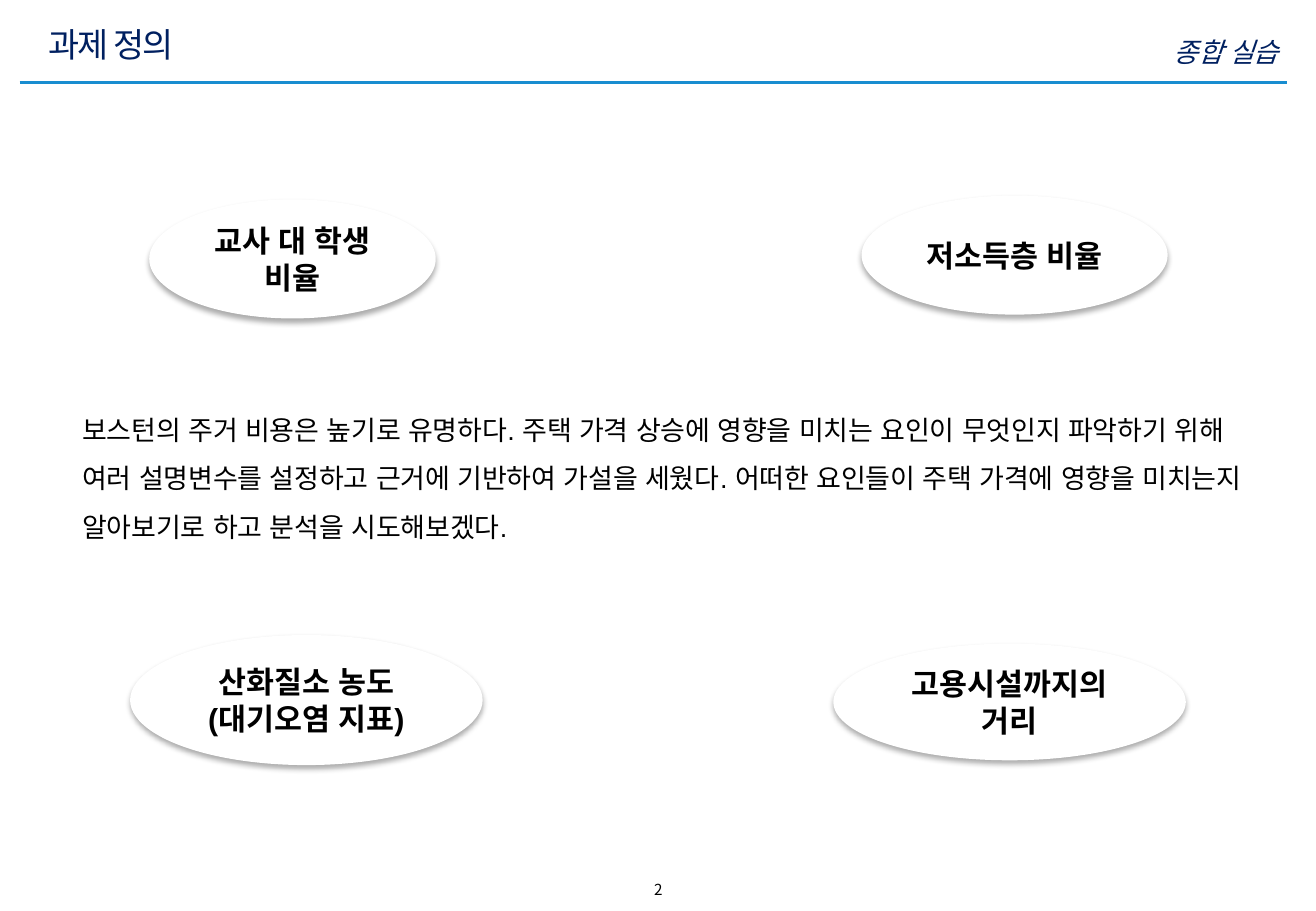
from lxml.etree import SubElement
from pptx import Presentation
from pptx.dml.color import RGBColor
from pptx.enum.shapes import MSO_CONNECTOR as Connector, MSO_SHAPE as Shape
from pptx.enum.text import MSO_ANCHOR as Anchor, MSO_AUTO_SIZE as AutoSize, PP_ALIGN as Align
from pptx.oxml.ns import qn
from pptx.util import Cm, Pt

SANS = "Noto Sans CJK KR"
BODY = "Arial"
NAVY, BLUE, BLACK, WHITE = "002060", "188DD0", "000000", "FFFFFF"

# factor and its box: left, top, width, height in cm
FACTORS = [
    ("산화질소 농도(대기오염 지표)", (2.72, 13.28, 7.37, 2.72)),
    ("고용시설까지의 거리", (17.42, 13.46, 7.37, 2.44)),
    ("저소득층 비율", (18.01, 4.09, 6.4, 2.49)),
    ("교사 대 학생 비율", (3.12, 4.17, 5.99, 2.49)),
]
DEFINITION = (
    "보스턴의 주거 비용은 높기로 유명하다. 주택 가격 상승에 영향을 미치는 요인이 무엇인지 "
    "파악하기 위해 여러 설명변수를 설정하고 근거에 기반하여 가설을 세웠다. 어떠한 요인들이 "
    "주택 가격에 영향을 미치는지 알아보기로 하고 분석을 시도해보겠다."
)


def color(hex_code):
    return RGBColor.from_string(hex_code)


def lengths(box):
    return [Cm(value) for value in box]


def write(holder, text, size, font=SANS, ink=BLACK, align=Align.LEFT,
          anchor=Anchor.TOP, bold=False, italic=False):
    """Fill a shape with one formatted paragraph and return that paragraph."""
    frame = holder.text_frame
    frame.text = text
    frame.word_wrap = True
    frame.auto_size = AutoSize.NONE
    frame.vertical_anchor = anchor
    paragraph = frame.paragraphs[0]
    paragraph.alignment = align
    run = paragraph.runs[0]
    run.font.name = font
    run.font.size = Pt(size)
    run.font.bold = bold
    run.font.italic = italic
    run.font.color.rgb = color(ink)
    SubElement(run.font._element, qn("a:ea"), typeface=font)
    return paragraph


def add_label(slide, box, text, size, **style):
    return write(slide.shapes.add_textbox(*lengths(box)), text, size, **style)


def add_header(slide, box):
    left, top, width, _ = box
    title = slide.shapes.title
    title.left, title.top, title.width, title.height = lengths(
        (left + 0.35, top + 0.38, 21.62, 1.09))
    heading = write(title, "과제 정의", 20, ink=NAVY, anchor=Anchor.MIDDLE)
    heading.runs[0].font._element.set("spc", "-100")

    add_label(slide, (left + width - 10.26, top + 0.61, 10.34, 0.76), "종합 실습", 16,
              ink=NAVY, align=Align.RIGHT, italic=True)

    rule_y = Cm(top + 1.73)
    rule = slide.shapes.add_connector(
        Connector.STRAIGHT, Cm(left), rule_y, Cm(left + width), rule_y)
    rule.line.color.rgb = color(BLUE)
    rule.line.width = Pt(2)
    SubElement(rule._element.spPr, qn("a:effectLst"))


def add_soft_shadow(shape):
    shape.shadow.inherit = False
    effects = shape._element.spPr.find(qn("a:effectLst"))
    shadow = SubElement(effects, qn("a:outerShdw"), blurRad=str(Pt(3.5)), dist=str(Pt(2.2)),
                        dir="5400000", algn="t", rotWithShape="0")
    tint = SubElement(shadow, qn("a:srgbClr"), val=BLACK)
    SubElement(tint, qn("a:alpha"), val="32000")


def add_factor(slide, box, name):
    factor = slide.shapes.add_shape(Shape.OVAL, *lengths(box))
    factor.fill.solid()
    factor.fill.fore_color.rgb = color(WHITE)
    factor.line.fill.background()
    add_soft_shadow(factor)
    write(factor, name, 18, font=BODY, align=Align.CENTER, anchor=Anchor.MIDDLE, bold=True)


def add_definition(slide, box):
    add_label(slide, box, DEFINITION, 16, font=BODY).line_spacing = 1.5


def main():
    deck = Presentation()
    deck.slide_width, deck.slide_height = Cm(27.51), Cm(19.05)
    slide = deck.slides.add_slide(deck.slide_layouts[5])
    add_header(slide, (0.41, 0, 26.49, 1.73))
    add_definition(slide, (1.47, 8.18, 25.04, 3.53))
    for name, box in FACTORS:
        add_factor(slide, box, name)
    add_label(slide, (11.15, 18.29, 5.23, 0.64), "2", 9, align=Align.CENTER)
    deck.save("out.pptx")


if __name__ == "__main__":
    main()
